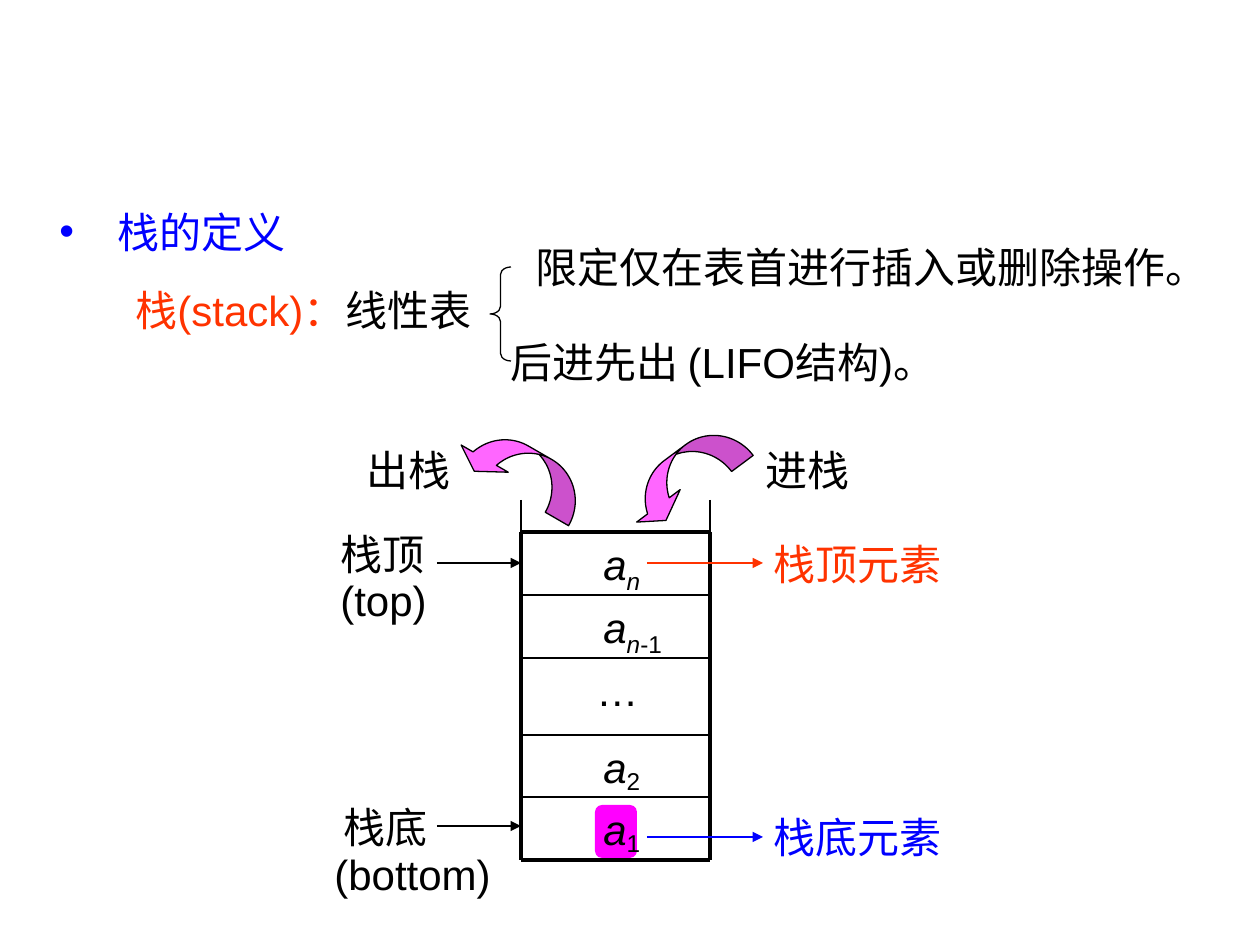
from dataclasses import dataclass
from typing import NamedTuple

from lxml.etree import SubElement
from pptx import Presentation
from pptx.dml.color import RGBColor
from pptx.enum.shapes import MSO_CONNECTOR, MSO_SHAPE
from pptx.enum.text import MSO_ANCHOR
from pptx.oxml.ns import qn
from pptx.util import Pt

UNIT = 914400 / 126


@dataclass(frozen=True)
class Theme:
    """Colours, font and type size of the slide."""
    ink: str = "000000"
    blue: str = "0000FF"
    red: str = "FF3300"
    mark: str = "FF00FF"
    pink: str = "FF66FF"
    white: str = "FFFFFF"
    font: str = "Arial"
    size: int = 24


LOOK = Theme()


class Run(NamedTuple):
    text: str
    color: str = LOOK.ink
    slant: bool = False
    drop: int = 0


class Para(NamedTuple):
    runs: tuple
    shift: int = 0
    space: int = 0
    pitch: float = 1.0
    bullet: str = ""


class Label(NamedTuple):
    x: int
    y: int
    w: int
    h: int
    paras: tuple


class Rule(NamedTuple):
    x: int
    y: int
    to_x: int
    to_y: int
    width: float
    color: str = LOOK.ink
    arrow: bool = False


class Form(NamedTuple):
    kind: MSO_SHAPE
    x: int
    y: int
    w: int
    h: int
    fill: str = ""
    edge: str = ""
    knobs: tuple = ()
    turn: float = 0
    flip: bool = False


def px(num: float) -> int:
    """Turn px into EMU."""
    return round(num * UNIT)


def tint(color: str) -> RGBColor:
    """Read a colour."""
    return RGBColor.from_string(color)


def write(shapes, item: Label):
    """Draw a text label."""
    box = shapes.add_textbox(*map(px, item[:4]))
    frame = box.text_frame
    form = {"word_wrap": True, "vertical_anchor": MSO_ANCHOR.TOP}
    for key, val in form.items():
        setattr(frame, key, val)
    for num, para in enumerate(item.paras):
        line = frame.add_paragraph() if num else frame.paragraphs[0]
        props = line._p.get_or_add_pPr()
        if para.bullet:
            props.set("marL", str(px(para.shift)))
            props.set("indent", str(-px(para.shift)))
            hue = SubElement(props, qn("a:buClr"))
            SubElement(hue, qn("a:srgbClr"), val=para.runs[0].color)
            SubElement(props, qn("a:buFont"), typeface=LOOK.font)
            SubElement(props, qn("a:buChar"), char=para.bullet)
        elif para.shift:
            props.set("indent", str(px(para.shift)))
        if num:
            line.space_before = Pt(para.space)
            line.line_spacing = para.pitch
        for part in para.runs:
            run = line.add_run()
            run.text = part.text
            form = {"name": LOOK.font, "size": Pt(LOOK.size), "italic": part.slant}
            for key, val in form.items():
                setattr(run.font, key, val)
            run.font.color.rgb = tint(part.color)
            if part.drop:
                run._r.get_or_add_rPr().set("baseline", str(-1000 * part.drop))
    return box


def rule(shapes, item: Rule):
    """Draw a line or an arrow."""
    line = shapes.add_connector(MSO_CONNECTOR.STRAIGHT, *map(px, item[:4]))
    line.line.width = Pt(item.width)
    line.line.color.rgb = tint(item.color)
    if item.arrow:
        SubElement(line.line._get_or_add_ln(), qn("a:tailEnd"), type="triangle")
    SubElement(line._element.spPr, qn("a:effectLst"))
    return line


def draw(shapes, item: Form) -> None:
    """Draw a preset shape."""
    shape = shapes.add_shape(item.kind, *map(px, item[1:5]))
    shape.shadow.inherit = False
    shape.rotation = item.turn
    for num, knob in enumerate(item.knobs):
        shape.adjustments[num] = knob
    if item.flip:
        shape._element.spPr.get_or_add_xfrm().set("flipH", "1")
    if item.fill:
        shape.fill.solid()
        shape.fill.fore_color.rgb = tint(item.fill)
    else:
        shape.fill.background()
    if item.edge:
        shape.line.width = Pt(0.75)
        shape.line.color.rgb = tint(item.edge)
    else:
        shape.line.fill.background()


def plain(x: int, y: int, w: int, text: str, color: str = LOOK.ink, **form) -> Label:
    """Make a label of one run."""
    return Label(x, y, w, 63, (Para((Run(text, color),), **form),))


def pair(x: int, y: int, w: int, h: int, name: str, note: str, **form) -> Label:
    """Make a label of two lines."""
    return Label(x, y, w, h, (Para((Run(name),)), Para((Run(note),), **form)))


LEFT, RIGHT = 521, 710
ROWS = [532, 595, 658, 735, 797, 860]
CELLS = [
    (0, [Run("n", slant=True, drop=25)]),
    (1, [Run("n", slant=True, drop=25), Run("-1", drop=25)]),
    (3, [Run("2", drop=18)]),
    (4, [Run("1", drop=18)]),
]
LABELS = [
    plain(523, 235, 716, "限定仅在表首进行插入或删除操作。"),
    plain(47, 200, 268, "栈的定义", LOOK.blue, shift=58, bullet="•"),
    plain(584, 658, 144, "…"),
    pair(328, 522, 141, 105, "栈顶", "(top)", space=15, pitch=0.3),
    pair(322, 795, 199, 110, " 栈底", "(bottom)", space=6, pitch=0.7),
    plain(354, 438, 118, "出栈"),
    plain(753, 438, 118, "进栈"),
    plain(752, 805, 231, " 栈底元素", LOOK.blue),
    plain(752, 532, 231, " 栈顶元素", LOOK.red),
    Label(123, 278, 399, 63, (Para((Run("栈(stack)：", LOOK.red), Run("线性表"))),)),
    plain(498, 330, 518, "后进先出 (LIFO结构)。"),
]
RULES = [Rule(LEFT, y, RIGHT, y, 2.25 if y in (ROWS[0], ROWS[-1]) else 1) for y in ROWS]
RULES += [Rule(x, ROWS[0], x, ROWS[-1], 2.25) for x in (LEFT, RIGHT)]
RULES += [
    Rule(LEFT, 500, LEFT, ROWS[0], 0.75),
    Rule(RIGHT, 500, RIGHT, ROWS[0], 1.5),
    Rule(437, 826, LEFT, 826, 0.75, arrow=True),
    Rule(647, 837, 763, 837, 1, LOOK.blue, True),
    Rule(647, 563, 763, 563, 1, LOOK.red, True),
]
MARKS = [
    Form(MSO_SHAPE.ROUNDED_RECTANGLE, 595, y, 42, 53, fill)
    for y, fill in ((805, LOOK.mark), (543, LOOK.white))
]
SIGNS = [Form(MSO_SHAPE.LEFT_BRACE, 490, 267, 21, 94, edge=LOOK.ink, knobs=(0.36, 0.5))]
SIGNS += [
    Form(MSO_SHAPE.CURVED_DOWN_ARROW, x, y, 136, 49, LOOK.pink, LOOK.ink,
         (0.55, 1.11, 0.33), turn, True)
    for x, y, turn in ((454, 446, 30), (616, 452, 323.3))
]


def main() -> None:
    """Build the slide on stacks."""
    deck = Presentation()
    deck.slide_width, deck.slide_height = px(1260), px(945)
    shapes = deck.slides.add_slide(deck.slide_layouts[6]).shapes
    for item in MARKS:
        draw(shapes, item)
    boxes = []
    for row, subs in CELLS:
        para = Para((Run("a", slant=True), *subs), 70)
        boxes.append(write(shapes, Label(LEFT, ROWS[row], RIGHT - LEFT, 62, (para,))))
    for item in RULES:
        rule(shapes, item)
    rule(shapes, Rule(437, 563, LEFT, 563, 0.75, arrow=True)).end_connect(boxes[0], 1)
    for item in LABELS:
        write(shapes, item)
    for item in SIGNS:
        draw(shapes, item)
    deck.save("out.pptx")


if __name__ == "__main__":
    main()
